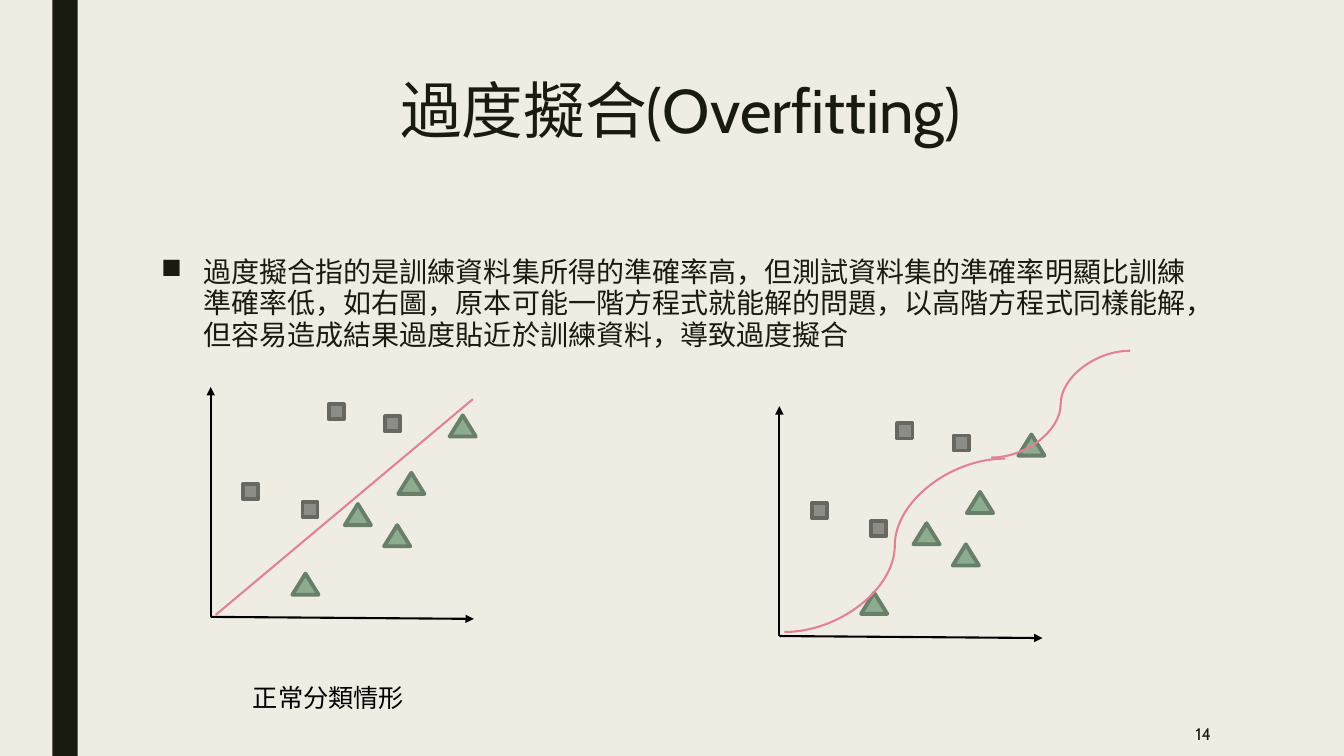
import pptx
import pptx.util
import pptx.dml.color
import pptx.enum.shapes
import pptx.enum.text
import pptx.oxml
import pptx.oxml.ns
from pptx.util import Inches

COLORS = {
    "background": "EFEDE3",
    "dark": "191B0E",
    "black": "000000",
    "square": "8C8D86",
    "square_line": "686863",
    "triangle": "8DAB8E",
    "triangle_line": "687F69",
    "boundary": "E28394",
}
FONT = "Cabin"
SHAPES = pptx.enum.shapes.MSO_SHAPE
CONNECTORS = pptx.enum.shapes.MSO_CONNECTOR
ALIGN = pptx.enum.text.PP_ALIGN
ANCHOR = pptx.enum.text.MSO_ANCHOR


def write_text(shape, box, text, size, color, align=ALIGN.LEFT, anchor=ANCHOR.TOP):
    shape.left, shape.top, shape.width, shape.height = map(Inches, box)
    frame = shape.text_frame
    frame.text = text
    frame.word_wrap = True
    frame.vertical_anchor = anchor
    paragraph = frame.paragraphs[0]
    paragraph.alignment = align
    font = paragraph.runs[0].font
    font.name = FONT
    font.size = pptx.util.Pt(size)
    font.color.rgb = pptx.dml.color.RGBColor.from_string(COLORS[color])
    return paragraph


def draw_line(kind, start, end, color, arrow=False):
    connector = slide.shapes.add_connector(kind, *map(Inches, start + end))
    connector.line.width = pptx.util.Pt(1.5)
    connector.line.color.rgb = pptx.dml.color.RGBColor.from_string(COLORS[color])
    if arrow:
        line = connector.line._get_or_add_ln()
        pptx.oxml.ns.qn("a:tailEnd")
        line.append(pptx.oxml.parse_xml(
            f'<a:tailEnd {pptx.oxml.ns.nsdecls("a")} type="triangle"/>'))
    connector._element.spPr.append(pptx.oxml.parse_xml(
        f'<a:effectLst {pptx.oxml.ns.nsdecls("a")}/>'))


presentation = pptx.Presentation()
presentation.slide_width = Inches(13.33)
presentation.slide_height = Inches(7.5)
slide = presentation.slides.add_slide(presentation.slide_layouts[5])
slide.background.fill.solid()
slide.background.fill.fore_color.rgb = pptx.dml.color.RGBColor.from_string(
    COLORS["background"])

side_bar = slide.shapes.add_shape(
    SHAPES.RECTANGLE, Inches(0.52), 0, Inches(0.25), Inches(7.5))
side_bar.shadow.inherit = False
side_bar.fill.solid()
side_bar.fill.fore_color.rgb = pptx.dml.color.RGBColor.from_string(COLORS["dark"])
side_bar.line.fill.background()

title = write_text(slide.shapes.title, (1.5, 0.75, 10.5, 1.62),
                   "過度擬合(Overfitting)", 44, "dark", ALIGN.CENTER)
title.line_spacing = 0.89

body_box = slide.shapes.add_textbox(0, 0, 0, 0)
body = write_text(
    body_box, (1.5, 2.5, 10.5, 3.92),
    "過度擬合指的是訓練資料集所得的準確率高，但測試資料集的準確率明顯比訓練準確率低，"
    "如右圖，原本可能一階方程式就能解的問題，以高階方程式同樣能解，"
    "但容易造成結果過度貼近於訓練資料，導致過度擬合",
    20, "dark")
body.line_spacing = 0.94
body.space_after = pptx.util.Pt(2)
properties = body._p.get_or_add_pPr()
properties.set("marL", str(Inches(0.42)))
properties.set("indent", str(-Inches(0.42)))
properties.append(pptx.oxml.parse_xml(
    f'<a:buChar {pptx.oxml.ns.nsdecls("a")} char="■"/>'))

write_text(slide.shapes.add_textbox(0, 0, 0, 0), (10.36, 7.06, 1.75, 0.44),
           "14", 12, "dark", ALIGN.RIGHT, ANCHOR.MIDDLE)
write_text(slide.shapes.add_textbox(0, 0, 0, 0), (2.41, 6.72, 2.68, 0.4),
           "正常分類情形", 18, "black")

markers = [
    ("square", SHAPES.RECTANGLE, 0.15, 0.15,
     [(1.73, -1.99), (1.17, -2.11), (0.32, -1.32), (0.91, -1.14)]),
    ("triangle", SHAPES.ISOSCELES_TRIANGLE, 0.26, 0.21,
     [(1.72, -0.91), (0.81, -0.43), (2.37, -2), (1.33, -1.12), (1.86, -1.43)]),
]
for origin_x, origin_y in [(2.09, 6.12), (7.73, 6.31)]:
    origin = (origin_x, origin_y)
    draw_line(CONNECTORS.STRAIGHT, origin, (origin_x, origin_y - 2.28), "black", True)
    draw_line(CONNECTORS.STRAIGHT, origin, (origin_x + 2.61, origin_y + 0.02),
              "black", True)
    for name, preset, width, height, offsets in markers:
        for offset_x, offset_y in offsets:
            marker = slide.shapes.add_shape(
                preset, Inches(origin_x + offset_x), Inches(origin_y + offset_y),
                Inches(width), Inches(height))
            marker.shadow.inherit = False
            marker.fill.solid()
            marker.fill.fore_color.rgb = pptx.dml.color.RGBColor.from_string(COLORS[name])
            marker.line.color.rgb = pptx.dml.color.RGBColor.from_string(
                COLORS[name + "_line"])
            marker.line.width = pptx.util.Pt(2.75)

draw_line(CONNECTORS.STRAIGHT, (2.14, 6.1), (4.69, 3.96), "boundary")
draw_line(CONNECTORS.CURVE, (7.78, 6.27), (9.97, 4.55), "boundary")
draw_line(CONNECTORS.CURVE, (11.21, 3.48), (9.83, 4.54), "boundary")

presentation.save("out.pptx")
